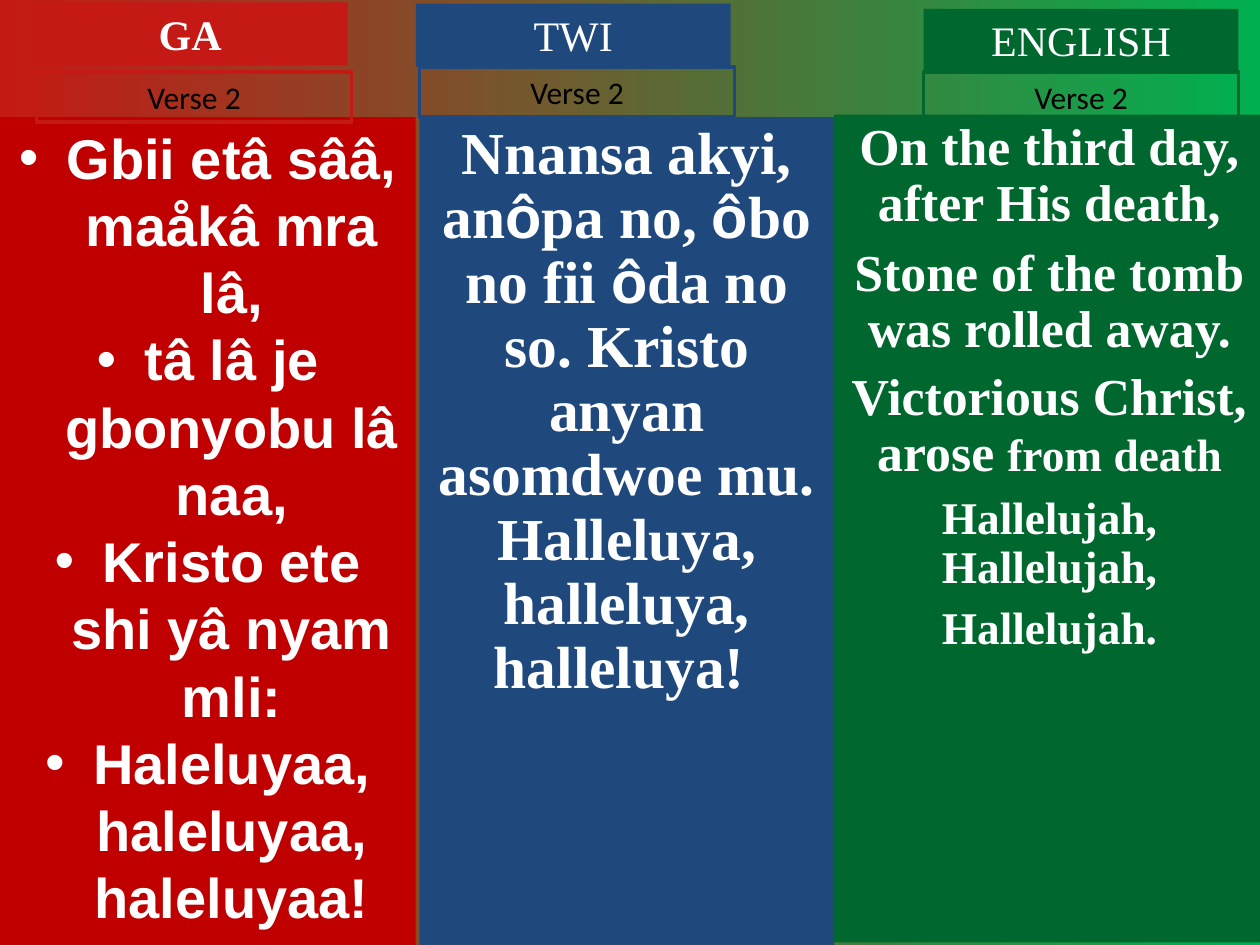
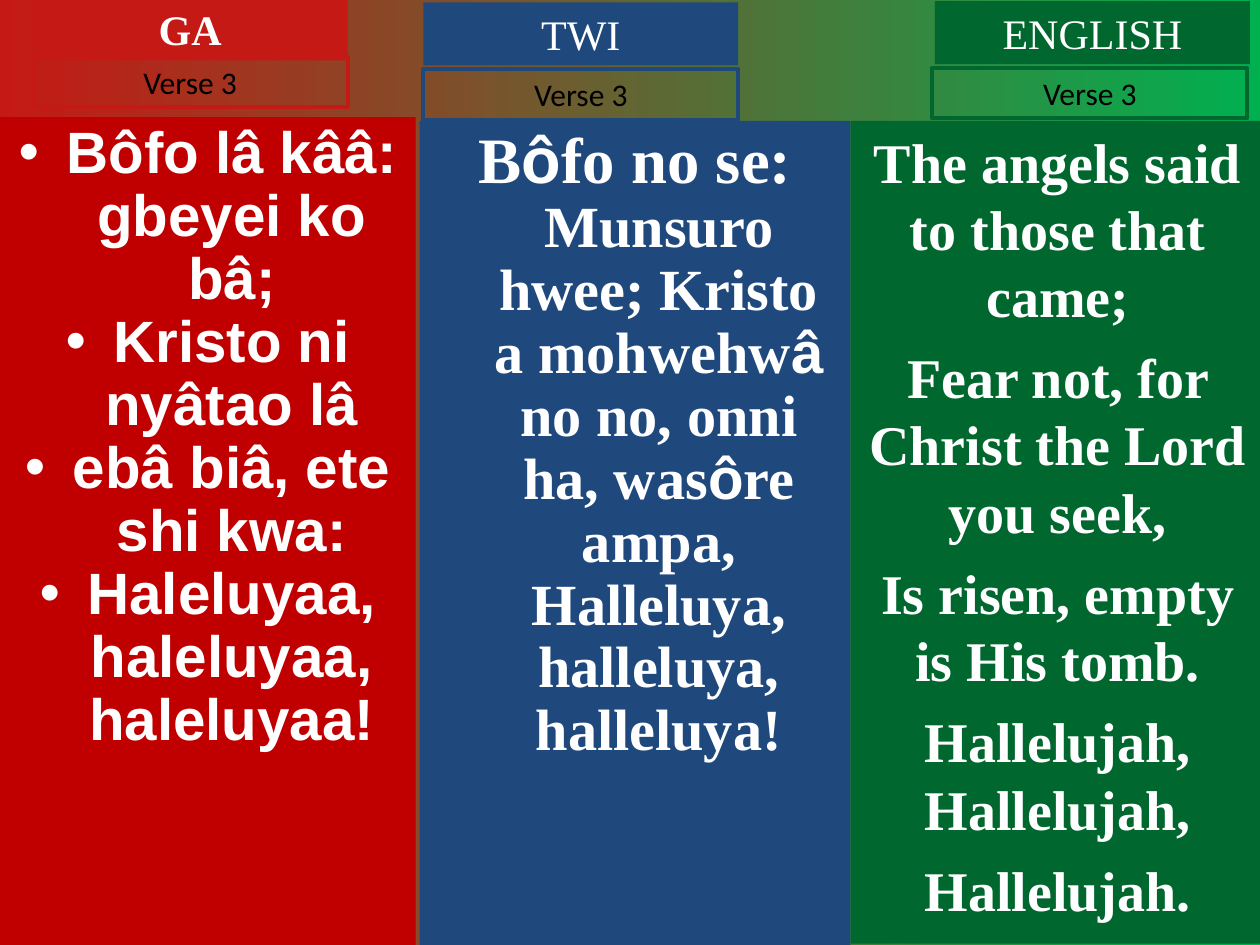
from itertools import groupby

from lxml.etree import SubElement
from pptx import Presentation
from pptx.dml.color import RGBColor
from pptx.enum.shapes import MSO_SHAPE
from pptx.enum.text import MSO_ANCHOR, MSO_AUTO_SIZE, PP_ALIGN
from pptx.oxml.ns import qn
from pptx.util import Inches, Pt

WHITE, BLACK = "FFFFFF", "000000"
RED, GREEN = "C51915", "00B050"
SERIF, SANS, LABEL = "Times New Roman", "Arial", "Calibri"
ACCENTED = "ôâ"
TAG_WIDTH, NAME_HEIGHT, VERSE_HEIGHT = 2.5, 0.5, 0.4
HANGING = 0.38

# Shared look of each language column
LANGUAGES = {
    "GA": dict(tag=RED, panel="C00000", font=SANS, bold=True, bullet=True),
    "TWI": dict(tag="1F497D", panel="1F497D", font=SERIF, bold=False, bullet=False),
    "ENGLISH": dict(tag="00682F", panel="00682F", font=SERIF, bold=False, bullet=False),
}

# Each lyric line is (space before, [(text, size), ...])
VERSES = [
    ("Verse 2", {
        "GA": dict(
            panel=(0, 0.93, 3.3, 6.57), name=(0.26, 0.02), verse=(0.29, 0.57),
            spacing=1.0, hanging=True,
            lines=[
                (0, [("Gbii etâ sââ, maåkâ mra lâ,", 32)]),
                (0, [("tâ lâ je gbonyobu lâ naa,", 32)]),
                (0, [("Kristo ete shi yâ nyam mli:", 32)]),
                (0, [("Haleluyaa, haleluyaa, haleluyaa!", 32)]),
            ]),
        "TWI": dict(
            panel=(3.33, 0.93, 3.29, 6.57), name=(3.3, 0.03), verse=(3.33, 0.53),
            spacing=0.9, hanging=False,
            lines=[
                (0, [("Nnansa akyi, anôpa no, ôbo no fii ôda no so. Kristo anyan "
                      "asomdwoe mu. Halleluya, halleluya, halleluya! ", 34)]),
            ]),
        "ENGLISH": dict(
            panel=(6.62, 0.91, 3.42, 6.57), name=(7.33, 0.07), verse=(7.33, 0.57),
            spacing=0.9, hanging=False,
            lines=[
                (0, [("On the third day, after His death,", 29.6)]),
                (8, [("Stone of the tomb was rolled away.", 29.6)]),
                (7, [("Victorious Christ, arose ", 29.6), ("from death", 25.9)]),
                (7, [("Hallelujah, Hallelujah,", 25.9)]),
                (7, [("Hallelujah.", 25.9)]),
            ]),
    }),
    ("Verse 3", {
        "GA": dict(
            panel=(0, 0.93, 3.3, 6.57), name=(0.26, -0.02), verse=(0.26, 0.45),
            spacing=0.9, hanging=True,
            lines=[
                (0, [("Bôfo lâ kââ: gbeyei ko bâ;", 33.3)]),
                (0, [("Kristo ni nyâtao lâ", 33.3)]),
                (0, [("ebâ biâ, ete shi kwa:", 33.3)]),
                (0, [("Haleluyaa, haleluyaa, haleluyaa!", 33.3)]),
            ]),
        "TWI": dict(
            panel=(3.33, 0.96, 3.42, 6.54), name=(3.36, 0.02), verse=(3.36, 0.55),
            spacing=0.9, hanging=True,
            lines=[
                (0, [("Bôfo no se: ", 37),
                     ("Munsuro hwee; Kristo a mohwehwâ no no, onni ha, wasôre "
                      "ampa, Halleluya, halleluya, halleluya!", 33.3)]),
            ]),
        "ENGLISH": dict(
            panel=(6.75, 0.96, 3.29, 6.53), name=(7.42, 0.01), verse=(7.4, 0.54),
            spacing=1.0, hanging=False,
            lines=[
                (0, [("The angels said to those that came;", 32)]),
                (8, [("Fear not, for Christ the Lord you seek,", 32)]),
                (8, [("Is risen, empty is His tomb.", 32)]),
                (8, [("Hallelujah, Hallelujah,", 32)]),
                (8, [("Hallelujah.", 32)]),
            ]),
    }),
]


def color(value):
    return RGBColor.from_string(value)


def style_font(font, name, size, value, bold):
    font.name, font.size, font.bold = name, Pt(size), bold
    font.color.rgb = color(value)


def add_box(page, place, fill=None, line=None):
    box = page.shapes.add_shape(MSO_SHAPE.RECTANGLE, *map(Inches, place))
    box.shadow.inherit = False
    if fill:
        box.fill.solid()
        box.fill.fore_color.rgb = color(fill)
    else:
        box.fill.background()
    if line:
        box.line.color.rgb = color(line)
        box.line.width = Pt(2.25)
    else:
        box.line.fill.background()
    box.text_frame.word_wrap = True
    box.text_frame.vertical_anchor = MSO_ANCHOR.TOP
    return box


def add_tag(page, corner, height, text, font, size, value, bold=False, **look):
    """Add a one-line label: a language name or a verse number."""
    box = add_box(page, (*corner, TAG_WIDTH, height), **look)
    box.text_frame.auto_size = MSO_AUTO_SIZE.SHAPE_TO_FIT_TEXT
    box.text_frame.text = text
    para = box.text_frame.paragraphs[0]
    para.alignment = PP_ALIGN.CENTER
    style_font(para.runs[0].font, font, size, value, bold)


def set_indent(para, bullet):
    """Give a hanging indent, with a white bullet if asked."""
    properties = para._p.get_or_add_pPr()
    properties.set("marL", str(Inches(HANGING)))
    properties.set("indent", str(-Inches(HANGING)))
    if bullet:
        bullet_color = SubElement(properties, qn("a:buClr"))
        SubElement(bullet_color, qn("a:srgbClr"), val=WHITE)
        SubElement(properties, qn("a:buFont"), typeface=SANS)
        SubElement(properties, qn("a:buChar"), char="•")


def add_spans(para, text, size, font):
    """Add text as runs, with accented letters always in the sans font."""
    for accented, letters in groupby(text, lambda letter: letter in ACCENTED):
        span = para.add_run()
        span.text = "".join(letters)
        style_font(span.font, SANS if accented else font, size, WHITE, True)


def add_lyrics(page, column, look):
    frame = add_box(page, column["panel"], fill=look["panel"]).text_frame
    for index, (space, spans) in enumerate(column["lines"]):
        para = frame.add_paragraph() if index else frame.paragraphs[0]
        para.alignment = PP_ALIGN.CENTER
        para.line_spacing = column["spacing"]
        para.space_before = Pt(space)
        if column["hanging"]:
            set_indent(para, look["bullet"])
        for text, size in spans:
            add_spans(para, text, size, look["font"])


def set_background(master):
    fill = master.background.fill
    fill.gradient()
    fill.gradient_angle = 0
    for stop, value in zip(fill.gradient_stops, (RED, GREEN)):
        stop.color.rgb = color(value)


def add_verse(deck, verse, columns):
    page = deck.slides.add_slide(deck.slide_layouts[6])
    for language, column in columns.items():
        add_lyrics(page, column, LANGUAGES[language])
    for language, column in columns.items():
        look = LANGUAGES[language]
        add_tag(page, column["name"], NAME_HEIGHT, language, SERIF, 24, WHITE,
                look["bold"], fill=look["tag"])
        add_tag(page, column["verse"], VERSE_HEIGHT, verse, LABEL, 18, BLACK,
                line=look["tag"])


def main():
    deck = Presentation()
    deck.slide_width, deck.slide_height = Inches(10), Inches(7.5)
    set_background(deck.slide_master)
    for verse, columns in VERSES:
        add_verse(deck, verse, columns)
    deck.save("out.pptx")


if __name__ == "__main__":
    main()
